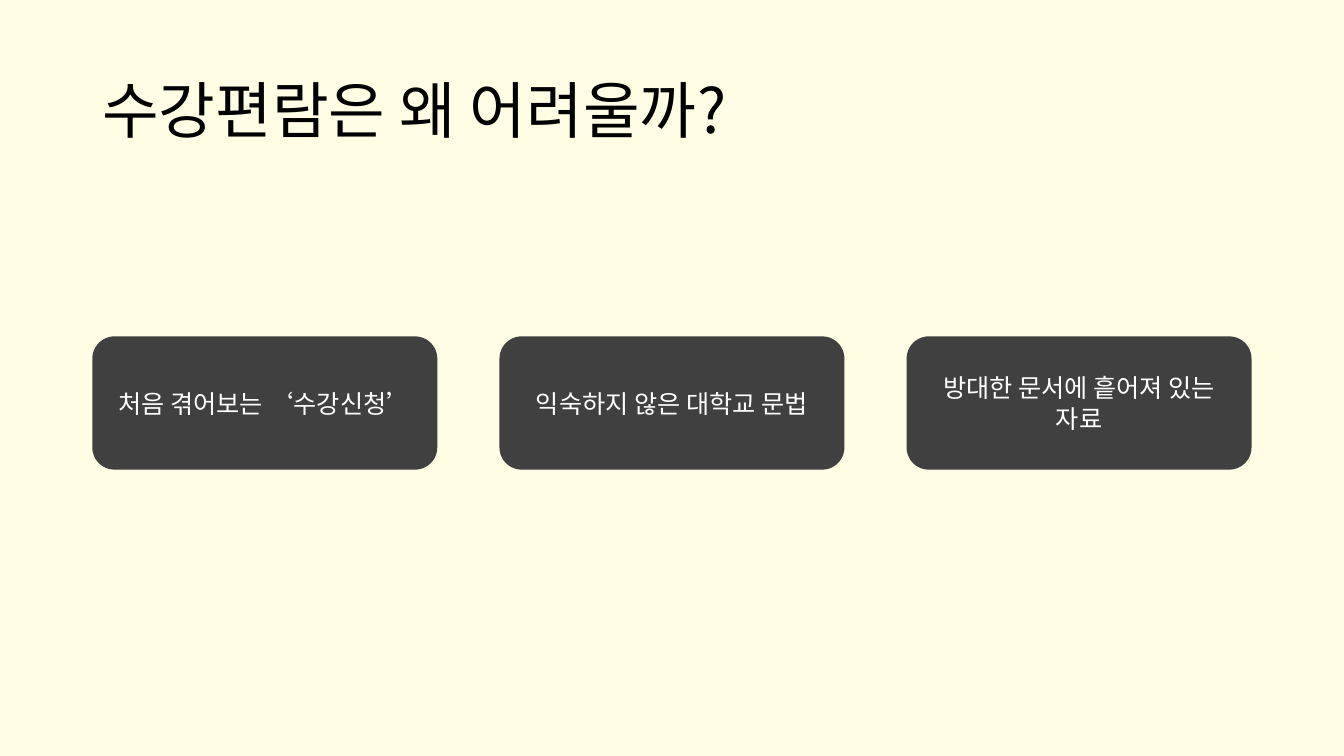
from lxml import etree
from pptx import Presentation
from pptx import util as u
from pptx.dml.color import RGBColor
from pptx.enum import shapes, text
from pptx.oxml.ns import qn

COLORS = {"background": "FFFDE4", "title": "000000", "card": "404040", "card_text": "FFFFFF"}
FONT = "Noto Sans CJK KR"
TITLE = "수강편람은 왜 어려울까?"
REASONS = [
    "처음 겪어보는 ‘수강신청’",
    "익숙하지 않은 대학교 문법",
    "방대한 문서에 흩어져 있는 자료",
]


def color(name):
    return RGBColor.from_string(COLORS[name])


def write_text(shape, words, size, color_name, alignment):
    frame = shape.text_frame
    frame.text = words
    frame.word_wrap = True
    frame.vertical_anchor = text.MSO_ANCHOR.MIDDLE
    paragraph = frame.paragraphs[0]
    paragraph.alignment = alignment
    run = paragraph.runs[0]
    run.font.size = u.Pt(size)
    run.font.color.rgb = color(color_name)
    run.font.name = FONT
    east_asian = etree.Element(qn("a:ea"), typeface=FONT)
    run.font._element.find(qn("a:latin")).addnext(east_asian)
    return paragraph


def add_title(slide, left, top, width, height):
    box = slide.shapes.add_textbox(u.Pt(left), u.Pt(top), u.Pt(width), u.Pt(height))
    paragraph = write_text(box, TITLE, 44, "title", text.PP_ALIGN.LEFT)
    paragraph.line_spacing = 0.9


def add_reason_cards(slide, left, top, width, height, gap):
    card_width = (width - gap * (len(REASONS) - 1)) / len(REASONS)
    for index, reason in enumerate(REASONS):
        card_left = left + index * (card_width + gap)
        card = slide.shapes.add_shape(
            shapes.MSO_SHAPE.ROUNDED_RECTANGLE,
            u.Pt(card_left), u.Pt(top), u.Pt(card_width), u.Pt(height),
        )
        card.shadow.inherit = False
        card.fill.solid()
        card.fill.fore_color.rgb = color("card")
        card.line.fill.background()
        write_text(card, reason, 18, "card_text", text.PP_ALIGN.CENTER)


def main():
    presentation = Presentation()
    presentation.slide_width = u.Pt(960)
    presentation.slide_height = u.Pt(540)
    slide = presentation.slides.add_slide(presentation.slide_layouts[6])
    slide.background.fill.solid()
    slide.background.fill.fore_color.rgb = color("background")
    add_title(slide, 66, 28.75, 828, 104.4)
    add_reason_cards(slide, 66, 240.3, 828, 95.2, 44.4)
    presentation.save("out.pptx")


if __name__ == "__main__":
    main()
